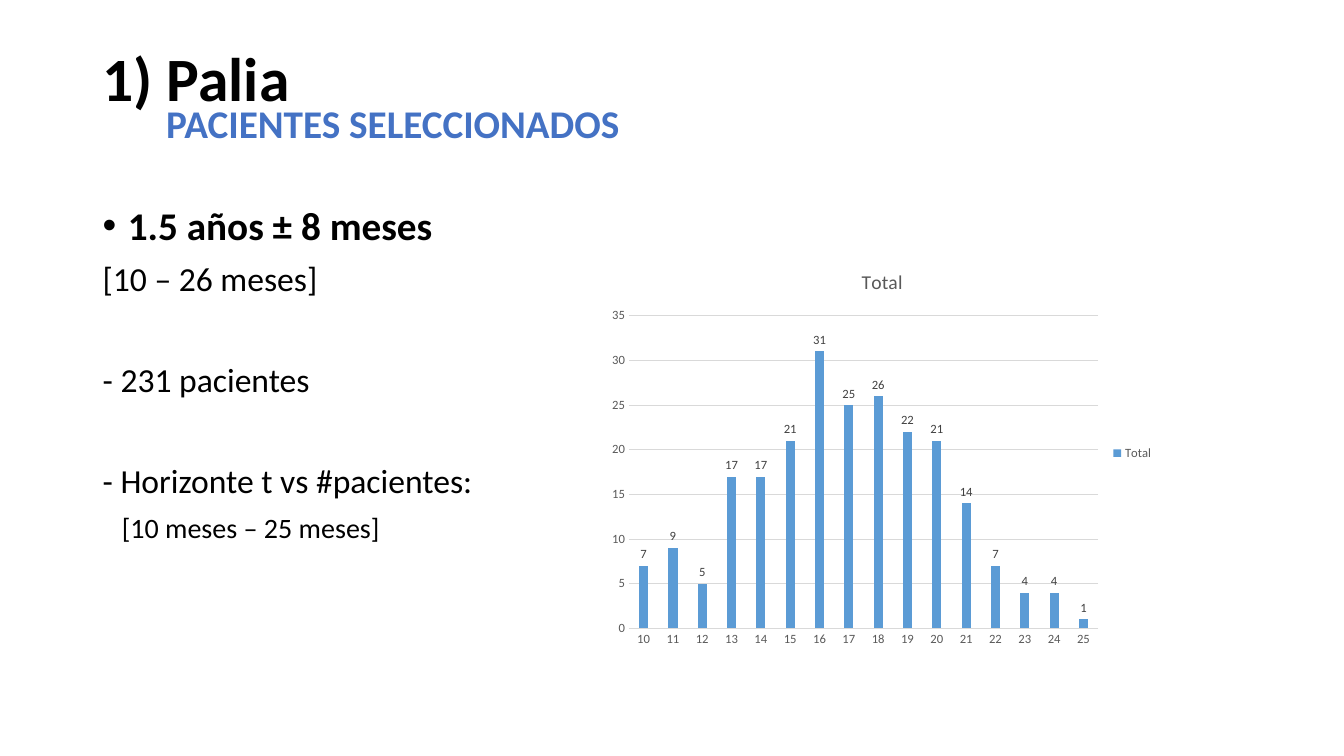
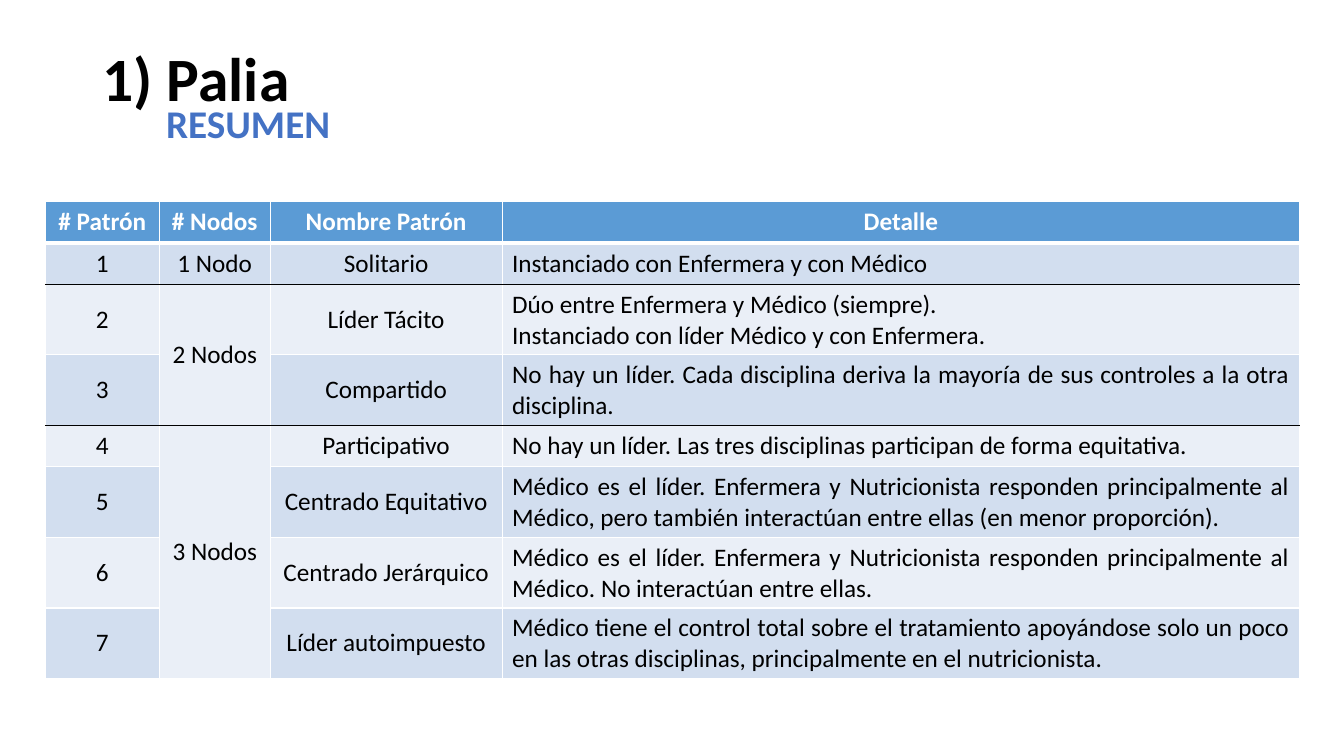
from lxml import etree
from pptx import Presentation
from pptx.chart.data import CategoryChartData
from pptx.dml.color import RGBColor
from pptx.enum.chart import (XL_CHART_TYPE, XL_LABEL_POSITION,
                             XL_LEGEND_POSITION, XL_TICK_MARK)
from pptx.enum.text import MSO_ANCHOR, PP_ALIGN
from pptx.oxml.ns import qn
from pptx.util import Inches, Pt

CENTER, JUSTIFY, LEFT = PP_ALIGN.CENTER, PP_ALIGN.JUSTIFY, PP_ALIGN.LEFT
TOP, MIDDLE = MSO_ANCHOR.TOP, MSO_ANCHOR.MIDDLE
COLUMNS = XL_CHART_TYPE.COLUMN_CLUSTERED
LEGEND_RIGHT = XL_LEGEND_POSITION.RIGHT
ABOVE_BAR = XL_LABEL_POSITION.OUTSIDE_END
NO_TICK = XL_TICK_MARK.NONE

FONT = "Calibri"
BLACK, WHITE, BLUE, ACCENT = "000000", "FFFFFF", "5B9BD5", "4472C4"
BANDS = ("EAEFF7", "D2DEEF")
GRID, CHART_TEXT, LABEL_TEXT = "D9D9D9", "595959", "404040"


def rgb(value):
    return RGBColor.from_string(value)


def style_font(font, size, color, bold=False):
    font.name, font.size, font.bold = FONT, Pt(size), bold
    font.color.rgb = rgb(color)


def set_border(cell, side, color, width):
    """Draw one cell edge; side is L, R, T or B. Call before the fill."""
    ln = etree.SubElement(cell._tc.get_or_add_tcPr(), qn("a:ln" + side),
                          w=str(Pt(width)))
    fill = etree.SubElement(ln, qn("a:solidFill"))
    etree.SubElement(fill, qn("a:srgbClr"), val=color)


def set_bullet(p, indent):
    pPr = p._p.get_or_add_pPr()
    pPr.set("marL", str(Inches(indent)))
    pPr.set("indent", str(-Inches(indent)))
    etree.SubElement(pPr, qn("a:buFont"), typeface="Arial")
    etree.SubElement(pPr, qn("a:buChar"), char="•")


class Deck:
    """Holds the presentation, its style and the current slide."""

    def __init__(self):
        self.prs = Presentation()
        self.prs.slide_width, self.prs.slide_height = Inches(13.33), Inches(7.5)
        self.slide = None

    def add_slide(self, title, subtitle, subtitle_width):
        self.slide = self.prs.slides.add_slide(self.prs.slide_layouts[6])
        p = self.text_frame(0.92, 0.4, 11.5, 0.82, MIDDLE).paragraphs[0]
        self.add_text(p, title, 44, bold=True, spacing=0.9)
        p = self.text_frame(1.55, 0.94, subtitle_width, 0.57).paragraphs[0]
        self.add_text(p, subtitle, 28, ACCENT, True)

    def text_frame(self, left, top, width, height, anchor=TOP):
        box = self.slide.shapes.add_textbox(Inches(left), Inches(top),
                                            Inches(width), Inches(height))
        tf = box.text_frame
        tf.word_wrap, tf.vertical_anchor = True, anchor
        return tf

    def add_text(self, p, text, size, color=BLACK, bold=False, align=LEFT,
                 spacing=1.0):
        p.alignment, p.line_spacing = align, spacing
        r = p.add_run()
        r.text = text
        style_font(r.font, size, color, bold)

    def add_body(self, left, top, width, height, items):
        """Each item is text, size, bold, space before, bullet, left indent."""
        tf = self.text_frame(left, top, width, height)
        for i, (text, size, bold, before, bullet, indent) in enumerate(items):
            p = tf.add_paragraph() if i else tf.paragraphs[0]
            self.add_text(p, text, size, bold=bold, align=JUSTIFY, spacing=0.9)
            p.space_before = Pt(before)
            if bullet:
                set_bullet(p, indent)
            elif indent:
                p._p.get_or_add_pPr().set("marL", str(Inches(indent)))

    def add_column_chart(self, left, top, width, height, name, cats, values):
        data = CategoryChartData()
        data.categories = cats
        data.add_series(name, values)
        chart = self.slide.shapes.add_chart(
            COLUMNS, Inches(left), Inches(top), Inches(width), Inches(height),
            data).chart
        style_font(chart.font, 10, BLACK)

        chart.has_title = True
        p = chart.chart_title.text_frame.paragraphs[0]
        r = p.add_run()
        r.text = name
        style_font(r.font, 14, CHART_TEXT)

        chart.has_legend = True
        chart.legend.position = LEGEND_RIGHT
        chart.legend.include_in_layout = False
        style_font(chart.legend.font, 9, CHART_TEXT)

        for axis in (chart.category_axis, chart.value_axis):
            axis.major_tick_mark = axis.minor_tick_mark = NO_TICK
            style_font(axis.tick_labels.font, 9, CHART_TEXT)
        gridlines = chart.value_axis.major_gridlines
        for line in (chart.category_axis.format.line, gridlines.format.line):
            line.color.rgb, line.width = rgb(GRID), Pt(0.75)
        chart.value_axis.format.line.fill.background()

        plot = chart.plots[0]
        plot.gap_width, plot.overlap, plot.vary_by_categories = 219, -27, False
        series = plot.series[0]
        series.format.fill.solid()
        series.format.fill.fore_color.rgb = rgb(BLUE)
        labels = series.data_labels
        labels.show_value, labels.position = True, ABOVE_BAR
        style_font(labels.font, 9, LABEL_TEXT)

    def add_table(self, left, top, widths, heights, rows, group_ends):
        """None continues the cell above; a black rule closes each group."""
        table = self.slide.shapes.add_table(
            len(rows), len(widths), Inches(left), Inches(top),
            Inches(sum(widths)), Inches(sum(heights))).table
        for column, width in zip(table.columns, widths):
            column.width = Inches(width)
        for row, height in zip(table.rows, heights):
            row.height = Inches(height)

        rules = {0: (WHITE, 3), **{r: (BLACK, 1) for r in group_ends}}
        thin = (WHITE, 1)
        for r, row in enumerate(rows):
            for c, text in enumerate(row):
                if text is None:
                    continue
                last = r
                while last + 1 < len(rows) and rows[last + 1][c] is None:
                    last += 1
                cell = table.cell(r, c)
                if last > r:
                    cell.merge(table.cell(last, c))
                edges = {"L": thin, "R": thin, "T": rules.get(r - 1, thin),
                         "B": rules.get(last, thin)}
                for side, (color, width) in edges.items():
                    set_border(cell, side, color, width)
                header = r == 0
                cell.fill.solid()
                cell.fill.fore_color.rgb = rgb(BLUE if header else BANDS[r % 2])
                cell.vertical_anchor = MIDDLE
                is_detail = c == len(widths) - 1 and not header
                tf = cell.text_frame
                for i, line in enumerate(text.split("\n")):
                    p = tf.add_paragraph() if i else tf.paragraphs[0]
                    self.add_text(p, line, 18, WHITE if header else BLACK,
                                  header, JUSTIFY if is_detail else CENTER)


def main():
    deck = Deck()

    deck.add_slide("1) Palia", "PACIENTES SELECCIONADOS", 6.09)
    deck.add_body(0.92, 2, 11.5, 4.76, [
        ("1.5 años ± 8 meses", 28, True, 10, True, 0.25),
        ("[10 – 26 meses]", 24, False, 10, False, 0),
        ("- 231 pacientes", 24, False, 46, False, 0),
        ("- Horizonte t vs #pacientes:", 24, False, 46, False, 0),
        ("[10 meses – 25 meses]", 20, False, 10, False, 0.19),
    ])
    deck.add_column_chart(
        5.96, 2.49, 5.58, 4.01, "Total",
        [str(month) for month in range(10, 26)],
        [7, 9, 5, 17, 17, 21, 31, 25, 26, 22, 21, 14, 7, 4, 4, 1])

    deck.add_slide("1) Palia", "RESUMEN", 2.55)
    one_line, two_lines = 0.41, 0.7
    deck.add_table(
        0.45, 2, [1.13, 1.1, 2.3, 7.91],
        [one_line] * 2 + [two_lines] * 2 + [one_line] + [two_lines] * 3,
        [
            ("# Patrón", "# Nodos", "Nombre Patrón", "Detalle"),
            ("1", "1 Nodo", "Solitario",
             "Instanciado con Enfermera y con Médico"),
            ("2", "2 Nodos", "Líder Tácito",
             "Dúo entre Enfermera y Médico (siempre).\n"
             "Instanciado con líder Médico y con Enfermera."),
            ("3", None, "Compartido",
             "No hay un líder. Cada disciplina deriva la mayoría de sus "
             "controles a la otra disciplina."),
            ("4", "3 Nodos", "Participativo",
             "No hay un líder. Las tres disciplinas participan de forma "
             "equitativa."),
            ("5", None, "Centrado Equitativo",
             "Médico es el líder. Enfermera y Nutricionista responden "
             "principalmente al Médico, pero también interactúan entre ellas "
             "(en menor proporción)."),
            ("6", None, "Centrado Jerárquico",
             "Médico es el líder. Enfermera y Nutricionista responden "
             "principalmente al Médico. No interactúan entre ellas."),
            ("7", None, "Líder autoimpuesto",
             "Médico tiene el control total sobre el tratamiento apoyándose "
             "solo un poco en las otras disciplinas, principalmente en el "
             "nutricionista."),
        ],
        group_ends=(1, 3))

    deck.prs.save("out.pptx")


if __name__ == "__main__":
    main()
